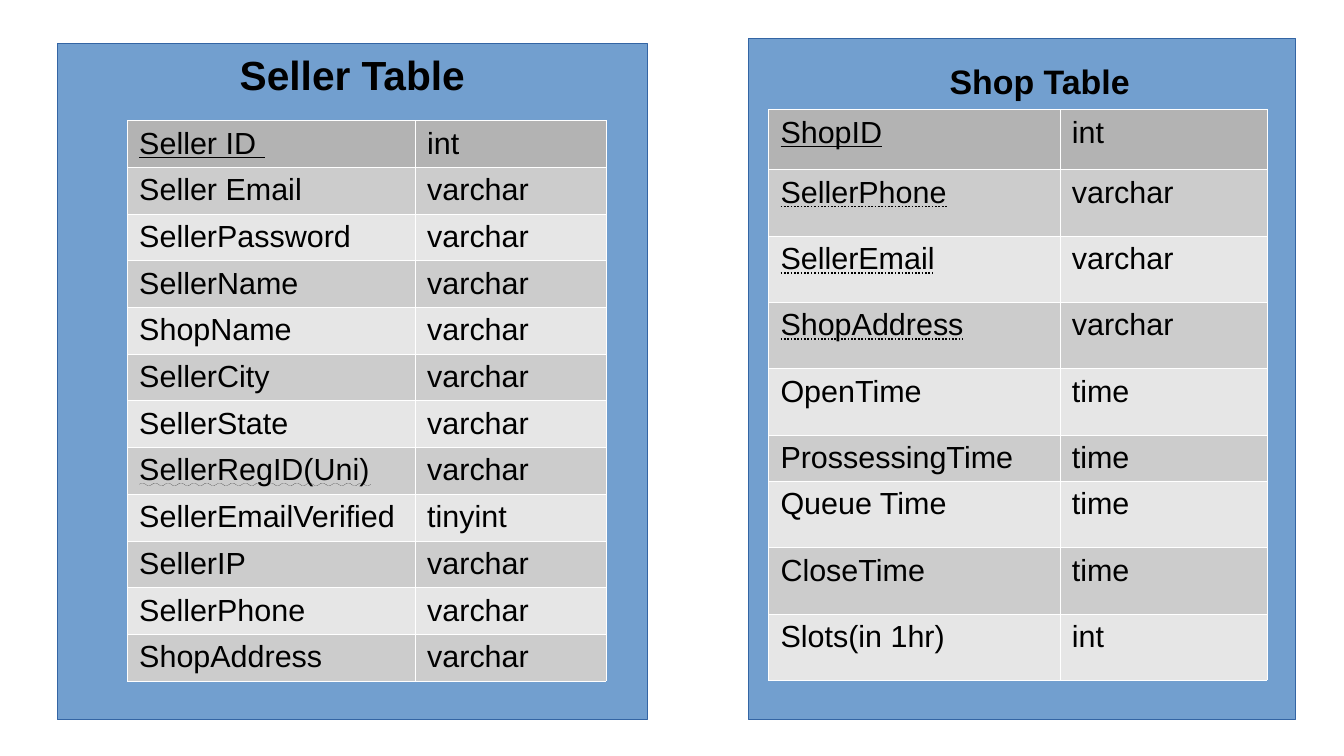
from lxml import etree
from pptx import Presentation
from pptx import util as u
from pptx.dml.color import RGBColor
from pptx.enum import shapes, text
from pptx.oxml.ns import qn

Pt = u.Pt
BLACK = RGBColor(0x00, 0x00, 0x00)
WHITE = RGBColor(0xFF, 0xFF, 0xFF)
PANEL_BLUE = RGBColor(0x72, 0x9F, 0xCF)
PANEL_EDGE = RGBColor(0x34, 0x65, 0xA4)
HEADER_GREY = RGBColor(0xB3, 0xB3, 0xB3)
BAND_GREYS = (RGBColor(0xE6, 0xE6, 0xE6), RGBColor(0xCC, 0xCC, 0xCC))

KEY = text.MSO_UNDERLINE.SINGLE_LINE
FOREIGN = text.MSO_UNDERLINE.DOTTED_LINE
UNIQUE = text.MSO_UNDERLINE.WAVY_LINE

SELLER_FIELDS = [
    ("Seller ID ", "int"), ("Seller Email", "varchar"),
    ("SellerPassword", "varchar"), ("SellerName", "varchar"),
    ("ShopName", "varchar"), ("SellerCity", "varchar"),
    ("SellerState", "varchar"), ("SellerRegID(Uni)", "varchar"),
    ("SellerEmailVerified", "tinyint"), ("SellerIP", "varchar"),
    ("SellerPhone", "varchar"), ("ShopAddress", "varchar"),
]
SHOP_FIELDS = [
    ("ShopID", "int"), ("SellerPhone", "varchar"),
    ("SellerEmail", "varchar"), ("ShopAddress", "varchar"),
    ("OpenTime", "time"), ("ProssessingTime", "time"),
    ("Queue Time", "time"), ("CloseTime", "time"), ("Slots(in 1hr)", "int"),
]
SELLER = {
    "panel": (33.8, 25.7, 348.5, 399.3),
    "corner": (75, 71), "columns": (170, 112.8),
    "heights": [27.6] * len(SELLER_FIELDS),
    "fields": SELLER_FIELDS, "underlines": {0: KEY, 7: UNIQUE},
}
SHOP = {
    "panel": (441.8, 22.6, 323.1, 402.4),
    "corner": (453.6, 64.6), "columns": (172, 122.6),
    "heights": [35.4] + [39.2] * 4 + [27.4] + [39.2] * 3,
    "fields": SHOP_FIELDS,
    "underlines": {0: KEY, 1: FOREIGN, 2: FOREIGN, 3: FOREIGN},
}


def write(paragraph, words, size, bold=False, underline=None):
    run = paragraph.add_run()
    run.text = words
    font = run.font
    font.name, font.size, font.bold = "Arial", Pt(size), bold
    font.color.rgb = BLACK
    if underline:
        font.underline = underline


def outline(cell):
    properties = cell._tc.get_or_add_tcPr()
    for side in ("lnL", "lnR", "lnT", "lnB"):
        edge = etree.SubElement(properties, qn("a:" + side), w=str(Pt(0.06)))
        paint = etree.SubElement(edge, qn("a:solidFill"))
        etree.SubElement(paint, qn("a:srgbClr"), val=str(WHITE))


def add_panel(slide, entity):
    panel = slide.shapes.add_shape(
        shapes.MSO_SHAPE.RECTANGLE, *map(Pt, entity["panel"]))
    panel.shadow.inherit = False
    panel.fill.solid()
    panel.fill.fore_color.rgb = PANEL_BLUE
    panel.line.color.rgb = PANEL_EDGE
    panel.line.width = Pt(0)
    return panel


def add_fields(slide, entity):
    fields, columns, heights = entity["fields"], entity["columns"], entity["heights"]
    left, top = entity["corner"]
    grid = slide.shapes.add_table(
        len(fields), len(columns), Pt(left), Pt(top),
        Pt(sum(columns)), Pt(sum(heights))).table
    grid.first_row = grid.horz_banding = False
    for column, width in zip(grid.columns, columns):
        column.width = Pt(width)
    for index, (field, height) in enumerate(zip(fields, heights)):
        grid.rows[index].height = Pt(height)
        marks = (entity["underlines"].get(index), None)
        for cell, words, mark in zip(grid.rows[index].cells, field, marks):
            outline(cell)
            cell.fill.solid()
            cell.fill.fore_color.rgb = BAND_GREYS[index % 2] if index else HEADER_GREY
            write(cell.text_frame.paragraphs[0], words, 18, underline=mark)


def main():
    deck = Presentation()
    deck.slide_width, deck.slide_height = Pt(793.44), Pt(446.4)
    slide = deck.slides.add_slide(deck.slide_layouts[6])

    seller_frame = add_panel(slide, SELLER).text_frame
    seller_frame.vertical_anchor = text.MSO_ANCHOR.TOP
    seller_heading = seller_frame.paragraphs[0]
    seller_heading.alignment = text.PP_ALIGN.CENTER
    write(seller_heading, "Seller Table", 24, bold=True)
    add_fields(slide, SELLER)

    add_panel(slide, SHOP)
    add_fields(slide, SHOP)
    shop_title = slide.shapes.add_textbox(Pt(553.5), Pt(32), Pt(153.4), Pt(45.4))
    shop_title.text_frame.word_wrap = True
    write(shop_title.text_frame.paragraphs[0], "Shop Table", 20, bold=True)

    deck.save("out.pptx")


if __name__ == "__main__":
    main()
